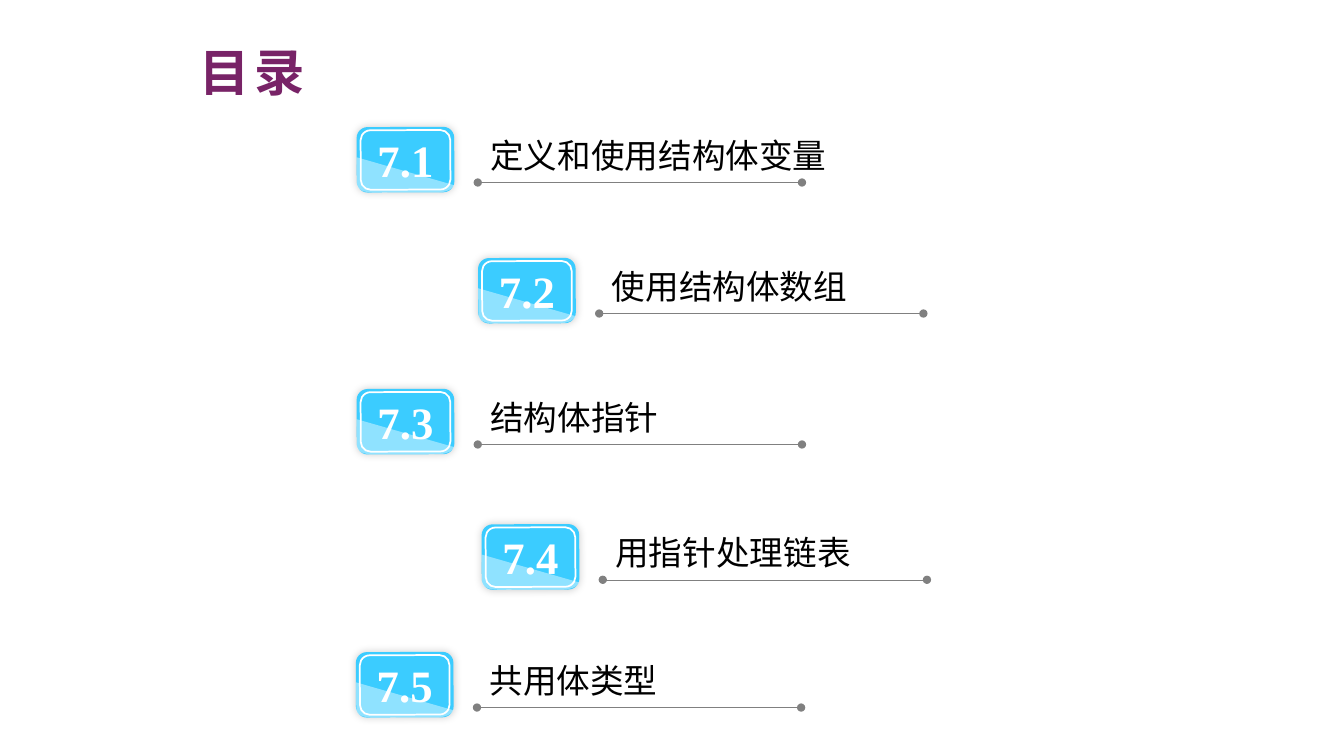
"""Build the chapter contents slide with five numbered entries."""
from lxml.etree import SubElement
from pptx import Presentation
from pptx.dml.color import RGBColor
from pptx.enum.dml import MSO_LINE
from pptx.enum.shapes import MSO_CONNECTOR, MSO_SHAPE
from pptx.enum.text import MSO_ANCHOR, MSO_AUTO_SIZE, PP_ALIGN
from pptx.oxml.ns import qn
from pptx.util import Cm, Pt


def rgb(value):
    return RGBColor.from_string(value)


def bezier(p0, p1, p2, p3, steps=8):
    for i in range(1, steps + 1):
        t = i / steps
        u = 1 - t
        yield tuple(u**3 * a + 3 * u * u * t * b + 3 * u * t * t * c + t**3 * d
                    for a, b, c, d in zip(p0, p1, p2, p3))


class Slide:
    CJK, LATIN = "Noto Sans CJK SC", "Times New Roman"
    PURPLE, BLUE, GREY = "782367", "3BCCFF", "808080"
    WHITE, BLACK = "FFFFFF", "000000"
    TILT = -0.2

    def __init__(self, prs):
        self.s = prs.slides.add_slide(prs.slide_layouts[6])

    def set_text(self, tf, text, size, color, font, bold=False):
        tf.text = text
        r = tf.paragraphs[0].runs[0]
        r.font.size, r.font.bold, r.font.name = Pt(size), bold, font
        r.font.color.rgb = rgb(color)
        rPr = r.font._element
        SubElement(rPr, qn("a:ea"), typeface=font)
        return rPr

    def text(self, parent, x, y, w, h, text, size, color, bold=False):
        sp = parent.add_textbox(Cm(x), Cm(y), Cm(w), Cm(h))
        sp.text_frame.auto_size = MSO_AUTO_SIZE.SHAPE_TO_FIT_TEXT
        sp.text_frame.word_wrap = False
        return self.set_text(sp.text_frame, text, size, color, self.CJK, bold)

    def title(self, text):
        rPr = self.text(self.s.shapes, 4.78, 0.91, 3.71, 1.8, text, 36, self.PURPLE, True)
        rPr.set("spc", "300")

    def rounded(self, parent, x, y, w, h):
        sp = parent.add_shape(MSO_SHAPE.ROUNDED_RECTANGLE, Cm(x), Cm(y), Cm(w), Cm(h))
        sp.rotation = self.TILT
        sp.shadow.inherit = False
        return sp

    def badge(self, parent, x, y, number):
        sp = self.rounded(parent, x, y, 2.46, 1.65)
        sp.fill.solid()
        sp.fill.fore_color.rgb = rgb(self.BLUE)
        sp.line.fill.background()
        effects = sp._element.spPr.find(qn("a:effectLst"))
        shadow = SubElement(effects, qn("a:outerShdw"), blurRad=str(Pt(6)), dist="0",
                            dir="13500000", algn="ctr", rotWithShape="0")
        color = SubElement(shadow, qn("a:srgbClr"), val=self.BLACK)
        SubElement(color, qn("a:alpha"), val="20000")
        tf = sp.text_frame
        tf.vertical_anchor = MSO_ANCHOR.MIDDLE
        self.set_text(tf, number, 32, self.WHITE, self.LATIN, True)
        tf.paragraphs[0].alignment = PP_ALIGN.CENTER

    def frame(self, parent, x, y):
        sp = self.rounded(parent, x, y, 2.26, 1.5)
        sp.fill.background()
        sp.line.color.rgb = rgb(self.WHITE)
        sp.line.width = Pt(1.25)

    def gloss(self, parent, x, y):
        right = bezier((2.45, 1.47), (2.43, 1.57), (2.25, 1.65), (2.05, 1.65))
        left = bezier((0.41, 1.65), (0.18, 1.65), (0.01, 1.57), (0.01, 1.45))
        outline = [(2.45, 1.47), *right, (0.41, 1.65), *left]
        fb = parent.build_freeform(Cm(x), Cm(y + 0.76))
        fb.add_line_segments([(Cm(x + dx), Cm(y + dy)) for dx, dy in outline])
        sp = fb.convert_to_shape()
        sp.rotation = self.TILT
        sp.shadow.inherit = False
        sp.line.fill.background()
        sp.fill.solid()
        sp.fill.fore_color.rgb = rgb(self.WHITE)
        color = sp._element.spPr.find(qn("a:solidFill")).find(qn("a:srgbClr"))
        SubElement(color, qn("a:alpha"), val="43000")

    def rule(self, parent, x, y, length):
        c = parent.add_connector(MSO_CONNECTOR.STRAIGHT, Cm(x), Cm(y), Cm(x + length), Cm(y))
        c.line.color.rgb = rgb(self.GREY)
        c.line.width = Pt(0.25)
        c.line.dash_style = MSO_LINE.ROUND_DOT
        spPr = c._element.spPr
        for end in ("a:headEnd", "a:tailEnd"):
            SubElement(spPr.find(qn("a:ln")), qn(end), type="oval")
        SubElement(spPr, qn("a:effectLst"))

    def entry(self, x, y, number, text):
        parent = self.s.shapes.add_group_shape().shapes
        self.badge(parent, x, y, number)
        self.frame(parent, x + 0.1, y + 0.08)
        self.gloss(parent, x, y)
        self.rule(parent, x + 3.05, y + 1.4, 8.17)
        self.text(parent, x + 3.12, y + 0.08, len(text) * 0.85 + 0.51, 1.27, text, 24, self.BLACK)


def main():
    prs = Presentation()
    prs.slide_width, prs.slide_height = Cm(33.87), Cm(19.05)
    slide = Slide(prs)
    slide.title("目录")
    entries = [
        (8.99, 3.2, "定义和使用结构体变量"),
        (12.05, 6.5, "使用结构体数组"),
        (8.99, 9.8, "结构体指针"),
        (12.14, 13.21, "用指针处理链表"),
        (8.97, 16.43, "共用体类型"),
    ]
    for i, (x, y, text) in enumerate(entries, 1):
        slide.entry(x, y, f"7.{i}", text)
    prs.save("out.pptx")


if __name__ == "__main__":
    main()
